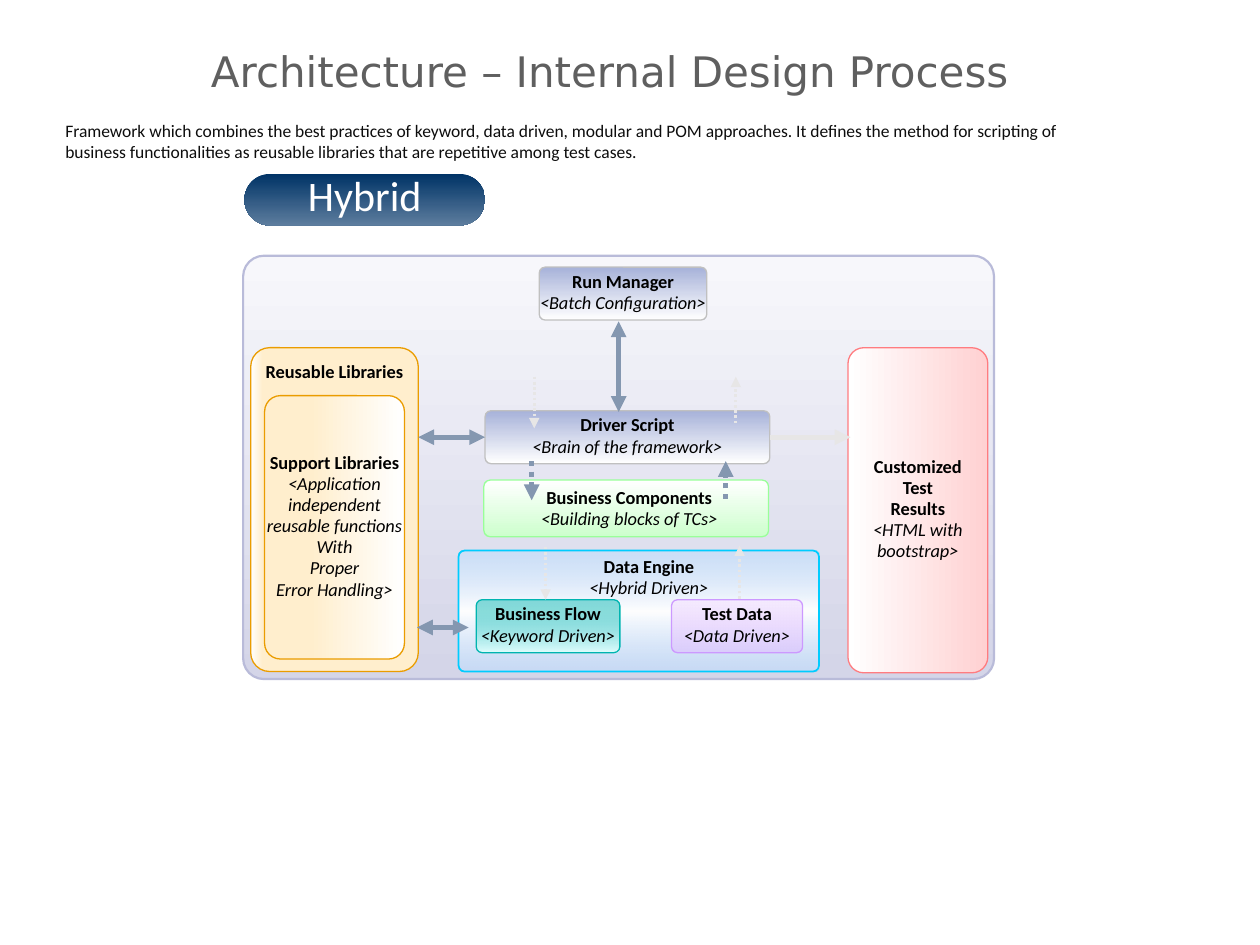
from lxml.etree import SubElement as Sub
from pptx import Presentation
from pptx.dml.color import RGBColor
from pptx.enum.dml import MSO_LINE as Dash
from pptx.enum.shapes import MSO_CONNECTOR as Link, MSO_SHAPE as Kind
from pptx.enum.text import MSO_ANCHOR as Anchor, PP_ALIGN as Align
from pptx.oxml.ns import qn
from pptx.util import Pt

PX = 9144  # 100 px to the inch
STEEL, PALE = "8497B0", "E7E6E6"
AMBER, SILVER = "EA9C00", "C0C0C0"
DOWN, RIGHT = 90, 0
LEFT_SIDE, RIGHT_SIDE = 1, 3


def px(*nums):
    return [n * PX for n in nums]


def hue(code):
    return RGBColor.from_string(code)


def write(shape, lines, size=10.5, font="Calibri", color="000000", head=True,
          align=Align.CENTER, anchor=Anchor.MIDDLE, wrap=False, gap=0.8):
    """Fill a shape with lines; with head, the first is bold, the rest italic."""
    frame = shape.text_frame
    frame.word_wrap = wrap
    frame.vertical_anchor = anchor
    for i, line in enumerate(lines):
        para = frame.add_paragraph() if i else frame.paragraphs[0]
        para.alignment = align
        para.line_spacing = gap
        para.space_before = Pt(2 if i else 0)
        run = para.add_run()
        run.text = line
        run.font.size, run.font.name = Pt(size), font
        run.font.color.rgb = hue(color)
        run.font.bold = head and i == 0
        run.font.italic = head and i > 0


def label(slide, x, y, w, h, lines, **style):
    write(slide.shapes.add_textbox(*px(x, y, w, h)), lines, **style)


def shade(shape, stops, angle):
    """Linear gradient from (place, colour[, opacity]) stops, in percent."""
    shape.fill.gradient()
    grad = shape._element.spPr.find(qn("a:gradFill"))
    for child in list(grad):
        grad.remove(child)
    items = Sub(grad, qn("a:gsLst"))
    for place, code, *alpha in stops:
        stop = Sub(items, qn("a:gs"), pos=str(place * 1000))
        color = Sub(stop, qn("a:srgbClr"), val=code)
        for value in alpha:
            Sub(color, qn("a:alpha"), val=str(value * 1000))
    Sub(grad, qn("a:lin"), ang=str(angle * 60000), scaled="0")


def card(slide, x, y, w, h, stops, edge=None, lines=(), angle=DOWN,
         width=0.75, curve=0.113, **style):
    box = slide.shapes.add_shape(Kind.ROUNDED_RECTANGLE, *px(x, y, w, h))
    box.adjustments[0] = curve
    box.shadow.inherit = False
    shade(box, stops, angle)
    if edge:
        box.line.color.rgb = hue(edge)
        box.line.width = Pt(width)
    else:
        box.line.fill.background()
    if lines:
        write(box, lines, **style)
    return box


def arrow(slide, x1, y1, x2, y2, color=STEEL, width=3, dots=False, both=False):
    line = slide.shapes.add_connector(Link.STRAIGHT, *px(x1, y1, x2, y2))
    line.line.color.rgb = hue(color)
    line.line.width = Pt(width)
    if dots:
        line.line.dash_style = Dash.ROUND_DOT
    stroke = line.line._get_or_add_ln()
    if both:
        Sub(stroke, qn("a:headEnd"), type="triangle")
    Sub(stroke, qn("a:tailEnd"), type="triangle")
    Sub(line._element.spPr, qn("a:effectLst"))
    return line


def header(slide, x, y):
    label(slide, x, y, 900, 50, ["Architecture – Internal Design Process"],
          size=24, font="DejaVu Sans", color="5F5F5F", head=False, wrap=True,
          gap=1)
    label(slide, x + 8, y + 59, 829, 44,
          ["Framework which combines the best practices of keyword, data "
           "driven, modular and POM approaches. It defines the method for "
           "scripting of business functionalities as reusable libraries that "
           "are repetitive among test cases."],
          size=10, color="0D0D0D", head=False, align=Align.LEFT,
          anchor=Anchor.TOP, wrap=True, gap=1)
    card(slide, x + 160, y + 107, 191, 41, [(0, "003366"), (100, "5D7D9E")],
         lines=["Hybrid"], curve=0.5, size=24, color="FFFFFF", head=False)


def libs(slide, x, y, w, h):
    card(slide, x, y, w, h, [(0, "FFFFFF"), (7, "FFEECD")], AMBER, angle=RIGHT)
    label(slide, x + 1, y + 8, w - 2, 25, ["Reusable Libraries"],
          anchor=Anchor.TOP, wrap=True)
    card(slide, x + 11, y + 38, w - 22, h - 48,
         [(33, "FFEECD"), (100, "FFFFFF")], AMBER,
         ["Support Libraries", "<Application", "independent",
          "reusable functions", "With", "Proper", "Error Handling>"],
         angle=RIGHT)


def results(slide, x, y, w, h):
    # The first three lines are the bold name, the rest its description
    box = card(slide, x, y, w, h, [(0, "FFFFFF"), (100, "FFD1D2")], "FF7C80",
               ["Customized", "Test", "Results", "<HTML with", "bootstrap>"],
               angle=RIGHT)
    for para in box.text_frame.paragraphs[1:3]:
        font = para.runs[0].font
        font.bold, font.italic = True, False


def engine(slide, x, y, w, h):
    card(slide, x, y, w, h,
         [(0, "BDDEFF", 54), (50, "FFFFFF"), (100, "BDDEFF", 54)],
         "00CCFF", width=1, curve=0.048)
    label(slide, x + 93, y + 2, 116, 42, ["Data Engine", "<Hybrid Driven>"],
          anchor=Anchor.TOP)
    card(slide, x + 14, y + 39, 114, 42, [(0, "00B4B0", 45), (100, "E1FFFE")],
         "00B4B0", ["Business Flow", "<Keyword Driven>"])
    card(slide, x + 169, y + 39, 104, 42, [(0, "F5EBFF"), (100, "E0C1FF", 59)],
         "CC99FF", ["Test Data", "<Data Driven>"])
    for dx, start, end in ((69, -3, 39), (223, 38, -4)):
        arrow(slide, x + dx, y + start, x + dx, y + end, PALE, 1.5, dots=True)


def core(slide, x, y):
    """Run manager, driver and components; gives back the driver box."""
    blue = [(0, "A7B2D9"), (100, "FFFFFF")]
    card(slide, x, y + 169, 226, 45, [(0, "FFFFFF"), (100, "CDFFCD")], "99FF99")
    label(slide, x + 22, y + 172, 187, 42,
          ["Business Components", "<Building blocks of TCs>"],
          anchor=Anchor.TOP, wrap=True)
    driver = card(slide, x + 1, y + 114, 226, 42, blue, SILVER,
                  ["Driver Script", "<Brain of the framework>"])
    card(slide, x + 44, y, 133, 42, blue, SILVER,
         ["Run Manager", "<Batch Configuration>"])
    arrow(slide, x + 107, y + 43, x + 107, y + 115, both=True)
    for dx, start, end, color, width in (
            (192, 184, 154, STEEL, 3), (38, 154, 185, STEEL, 3),
            (40, 87, 128, PALE, 1.5), (200, 124, 87, PALE, 1.5)):
        arrow(slide, x + dx, y + start, x + dx, y + end, color, width, dots=True)
    return driver


def diagram(slide, x, y, w, h):
    card(slide, x, y, w, h, [(0, "F7F7FB"), (100, "D4D5E8")], "B9BBD9",
         width=1.25, curve=0.049)
    libs(slide, x + 6, y + 73, 133, 257)
    results(slide, x + 480, y + 73, 111, 258)
    engine(slide, x + 171, y + 234, 286, 96)
    driver = core(slide, x + 191, y + 9)
    # Links between the columns
    mid = y + 144
    arrow(slide, x + 139, mid, x + 192, mid,
          both=True).end_connect(driver, LEFT_SIDE)
    arrow(slide, x + 418, mid, x + 482, mid,
          PALE).begin_connect(driver, RIGHT_SIDE)
    arrow(slide, x + 138, y + 295, x + 179, y + 295, both=True)


def main():
    deck = Presentation()
    deck.slide_width, deck.slide_height = px(1000, 750)
    slide = deck.slides.add_slide(deck.slide_layouts[6])
    header(slide, 34, 31)
    diagram(slide, 193, 203, 596, 336)
    deck.save("out.pptx")


if __name__ == "__main__":
    main()
